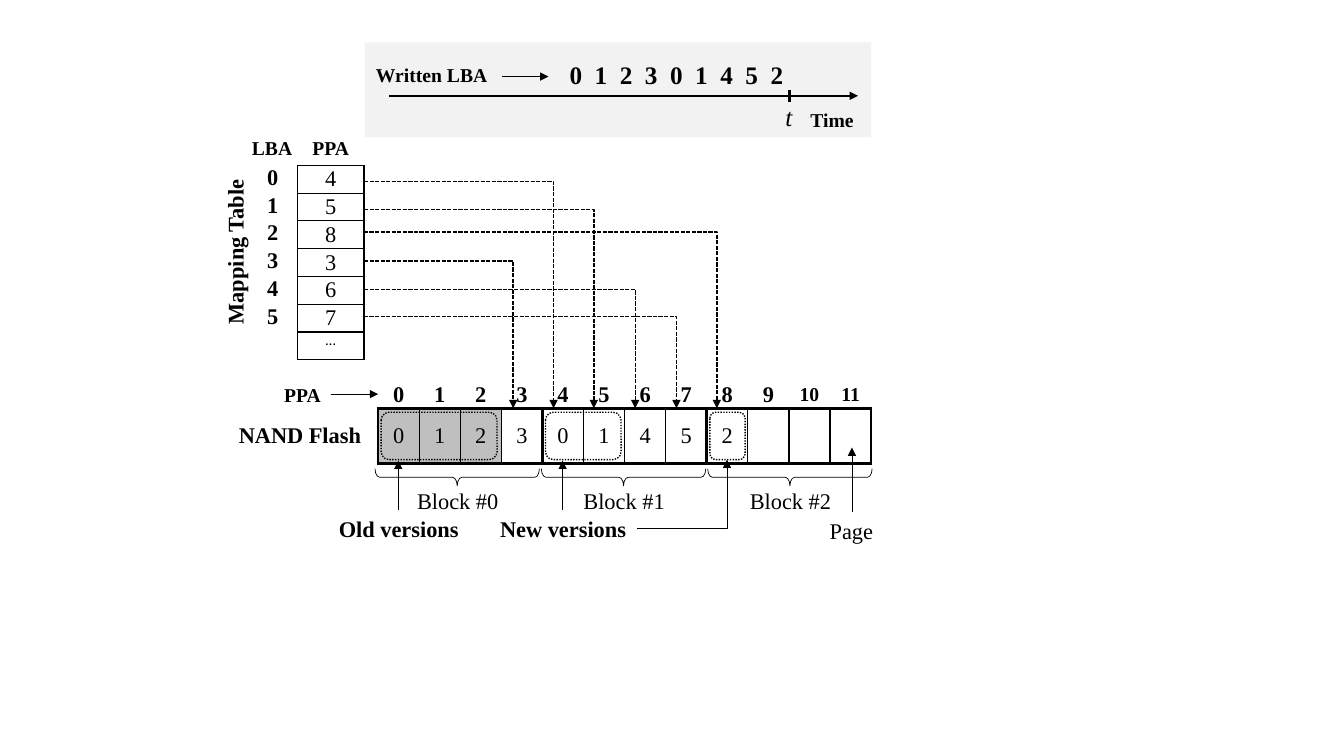
"""Builds a slide on how a mapping table points logical blocks to NAND flash pages."""
from lxml.etree import SubElement
from pptx import Presentation
from pptx.dml.color import RGBColor
from pptx.enum.dml import MSO_LINE
from pptx.enum.shapes import MSO_CONNECTOR, MSO_SHAPE
from pptx.enum.text import MSO_ANCHOR, MSO_AUTO_SIZE, PP_ALIGN
from pptx.oxml.ns import qn
from pptx.util import Inches, Pt

COLORS = {"ink": "000000", "timeline": "F2F2F2", "old": "BFBFBF"}
FONT = "Times New Roman"
FLASH_LEFT, FLASH_TOP, FLASH_WIDTH, FLASH_HEIGHT = 3.75, 4.05, 4.89, 0.55
MAP_LEFT, MAP_TOP, MAP_HEIGHT = 2.43, 1.64, 1.93
MAP_RIGHT = 3.61
BLOCK_PITCH = 1.65


def rgb(name):
    """Return the named colour."""
    return RGBColor.from_string(COLORS[name])


def style_paragraph(paragraph, size, bold=False, align=PP_ALIGN.CENTER, font=FONT, italic=False):
    """Set the font and alignment of a paragraph."""
    paragraph.alignment = align
    paragraph.font.name = font
    paragraph.font.size = Pt(size)
    paragraph.font.bold = bold
    paragraph.font.italic = italic
    paragraph.font.color.rgb = rgb("ink")


def add_label(slide, text, left, top, width, size=16, bold=False, italic=False,
              align=PP_ALIGN.LEFT, rotation=0, spacing=0):
    """Add a one-line text box."""
    height = {14: 0.34, 16: 0.37, 18: 0.4}[size]
    label = slide.shapes.add_textbox(Inches(left), Inches(top), Inches(width), Inches(height))
    label.rotation = rotation
    frame = label.text_frame
    frame.word_wrap = False
    frame.auto_size = MSO_AUTO_SIZE.SHAPE_TO_FIT_TEXT
    frame.text = text
    style_paragraph(frame.paragraphs[0], size, bold, align, italic=italic)
    if spacing:
        frame.paragraphs[0].runs[0].font._element.set("spc", str(spacing))


def add_outline(slide, kind, left, top, width, height, weight=None, dash=None, fill=None):
    """Add a preset shape with an optional fill and outline."""
    shape = slide.shapes.add_shape(kind, Inches(left), Inches(top), Inches(width), Inches(height))
    shape.shadow.inherit = False
    if fill:
        shape.fill.solid()
        shape.fill.fore_color.rgb = rgb(fill)
    else:
        shape.fill.background()
    if weight:
        shape.line.color.rgb = rgb("ink")
        shape.line.width = Pt(weight)
        shape.line.dash_style = dash
    else:
        shape.line.fill.background()
    return shape


def add_line(slide, start, end, weight=0.5, dash=None, bent=False, arrow=True):
    """Add a straight line, or one that runs across and then up or down."""
    kind = MSO_CONNECTOR.ELBOW if bent else MSO_CONNECTOR.STRAIGHT
    line = slide.shapes.add_connector(kind, *(Inches(value) for value in (*start, *end)))
    line.line.color.rgb = rgb("ink")
    line.line.width = Pt(weight)
    line.line.dash_style = dash
    properties = line._element.spPr
    if bent:
        properties.find(qn("a:prstGeom")).set("prst", "bentConnector2")
    if arrow:
        SubElement(properties.find(qn("a:ln")), qn("a:tailEnd"), type="triangle")
    SubElement(properties, qn("a:effectLst"))


def set_borders(cell, weight):
    """Draw all four borders of a cell, or hide them when the weight is zero."""
    properties = cell._tc.get_or_add_tcPr()
    for side in ("lnL", "lnR", "lnT", "lnB"):
        border = SubElement(properties, qn(f"a:{side}"), w=str(Pt(weight)))
        if weight:
            fill = SubElement(border, qn("a:solidFill"))
            SubElement(fill, qn("a:srgbClr"), val=COLORS["ink"])
        else:
            SubElement(border, qn("a:noFill"))


def add_grid(slide, rows, columns, left, top, widths, height):
    """Add a table without style bands and return it."""
    frame = slide.shapes.add_table(rows, columns, Inches(left), Inches(top),
                                   Inches(sum(widths)), Inches(height))
    table = frame.table
    table.first_row = table.horz_banding = False
    for column, width in zip(table.columns, widths):
        column.width = Inches(width)
    return table


def fill_cell(cell, text, border=0, fill=None, size=16, bold=False,
              align=PP_ALIGN.CENTER, font=FONT, anchor=MSO_ANCHOR.MIDDLE):
    """Write and format one table cell."""
    set_borders(cell, border)
    if fill:
        cell.fill.solid()
        cell.fill.fore_color.rgb = rgb(fill)
    else:
        cell.fill.background()
    cell.text = text
    cell.vertical_anchor = anchor
    style_paragraph(cell.text_frame.paragraphs[0], size, bold, align, font)


def add_flash_row(slide, texts, top, height, border=0, bold=False, old_count=0):
    """Add a row of equal cells across the width of the flash."""
    count = len(texts)
    row = add_grid(slide, 1, count, FLASH_LEFT, top, [FLASH_WIDTH / count] * count, height)
    for index, text in enumerate(texts):
        fill_cell(row.cell(0, index), text, border, "old" if index < old_count else None,
                  14 if len(text) > 1 else 16, bold)


def add_mapping_table(slide, pages):
    """Add the table from LBA to PPA."""
    mapping = add_grid(slide, len(pages) + 1, 2, MAP_LEFT, MAP_TOP, [0.52, 0.66], MAP_HEIGHT)
    for row, page in enumerate([*pages, "…"]):
        lba, ppa = mapping.cell(row, 0), mapping.cell(row, 1)
        for cell in (lba, ppa):
            cell.margin_left = cell.margin_right = cell.margin_top = cell.margin_bottom = 0
        lba.margin_left = Inches(0.22)
        listed = row < len(pages)
        fill_cell(lba, str(row) if listed else "", bold=True, align=PP_ALIGN.LEFT,
                  size=16 if listed else 10.5, anchor=MSO_ANCHOR.TOP)
        if listed:
            fill_cell(ppa, page, 1)
        else:
            fill_cell(ppa, page, 1, size=10.5, font="Calibri", anchor=MSO_ANCHOR.TOP)


def add_timeline(slide):
    """Add the sequence of written LBAs along time."""
    add_label(slide, "Written LBA", 3.63, 0.58, 1.32, 14, True)
    add_line(slide, (4.98, 0.76), (5.44, 0.76))
    add_label(slide, "0 1 2 3 0 1 4 5 2", 5.55, 0.54, 2.41, 18, True, spacing=225)
    add_line(slide, (3.86, 0.95), (8.51, 0.95), 1.5)
    add_line(slide, (7.83, 0.89), (7.83, 1.01), 1.5, arrow=False)
    add_label(slide, "t", 7.69, 0.96, 0.27, 18, italic=True, align=PP_ALIGN.CENTER)
    add_label(slide, "Time", 7.94, 1.02, 0.63, 14, True)


def main():
    """Build and save the slide."""
    deck = Presentation()
    deck.slide_width, deck.slide_height = Inches(13.33), Inches(7.5)
    slide = deck.slides.add_slide(deck.slide_layouts[6])

    add_outline(slide, MSO_SHAPE.RECTANGLE, 3.62, 0.42, 5.02, 0.94, fill="timeline")
    add_timeline(slide)

    add_flash_row(slide, [*"012301452", "", "", ""], FLASH_TOP, FLASH_HEIGHT, 1, old_count=3)
    add_mapping_table(slide, "458367")
    add_label(slide, "Mapping Table", 1.5, 2.3, 1.66, bold=True, rotation=270)
    add_label(slide, "LBA", 2.4, 1.3, 0.61, 14, True)
    add_label(slide, "PPA", 3, 1.3, 0.57, 14, True)

    for row_y, page_x in ((1.8, 5.49), (2.08, 5.89), (2.3, 7.11),
                          (2.59, 5.09), (2.87, 6.3), (3.14, 6.71)):
        add_line(slide, (MAP_RIGHT, row_y), (page_x, FLASH_TOP), 1, MSO_LINE.SQUARE_DOT, bent=True)

    add_flash_row(slide, [""] * 3, FLASH_TOP, FLASH_HEIGHT, 2.25)
    add_flash_row(slide, [str(page) for page in range(12)], 3.73, 0.37, bold=True)
    add_label(slide, "PPA", 2.72, 3.75, 0.57, 14, True)
    add_line(slide, (3.28, 3.91), (3.75, 3.91))
    add_label(slide, "NAND Flash", 2.27, 4.13, 1.43, bold=True)

    for block, versions_width in enumerate((1.15, 0.75, 0.35)):
        shift = block * BLOCK_PITCH
        brace = add_outline(slide, MSO_SHAPE.LEFT_BRACE, 4.45 + shift, 3.92, 0.17, 1.63, 0.5)
        brace.rotation = 270
        brace.adjustments[0] = 0.27
        add_label(slide, f"Block #{block}", 4.03 + shift, 4.78, 1.02, align=PP_ALIGN.CENTER)
        add_outline(slide, MSO_SHAPE.ROUNDED_RECTANGLE, 3.78 + block * FLASH_WIDTH / 3, 4.09,
                    versions_width, 0.47, 1, MSO_LINE.ROUND_DOT)

    add_label(slide, "Old versions", 3.25, 5.06, 1.41, bold=True, align=PP_ALIGN.CENTER)
    add_label(slide, "New versions", 4.85, 5.06, 1.47, bold=True, align=PP_ALIGN.CENTER)
    add_label(slide, "Page", 8.13, 5.08, 0.64)
    for versions_x in (3.95, 5.58):
        add_line(slide, (versions_x, 5.06), (versions_x, 4.57))
    add_line(slide, (6.32, 5.24), (7.21, 4.56), bent=True)
    add_line(slide, (8.45, 5.08), (8.45, 4.44))

    deck.save("out.pptx")


main()
